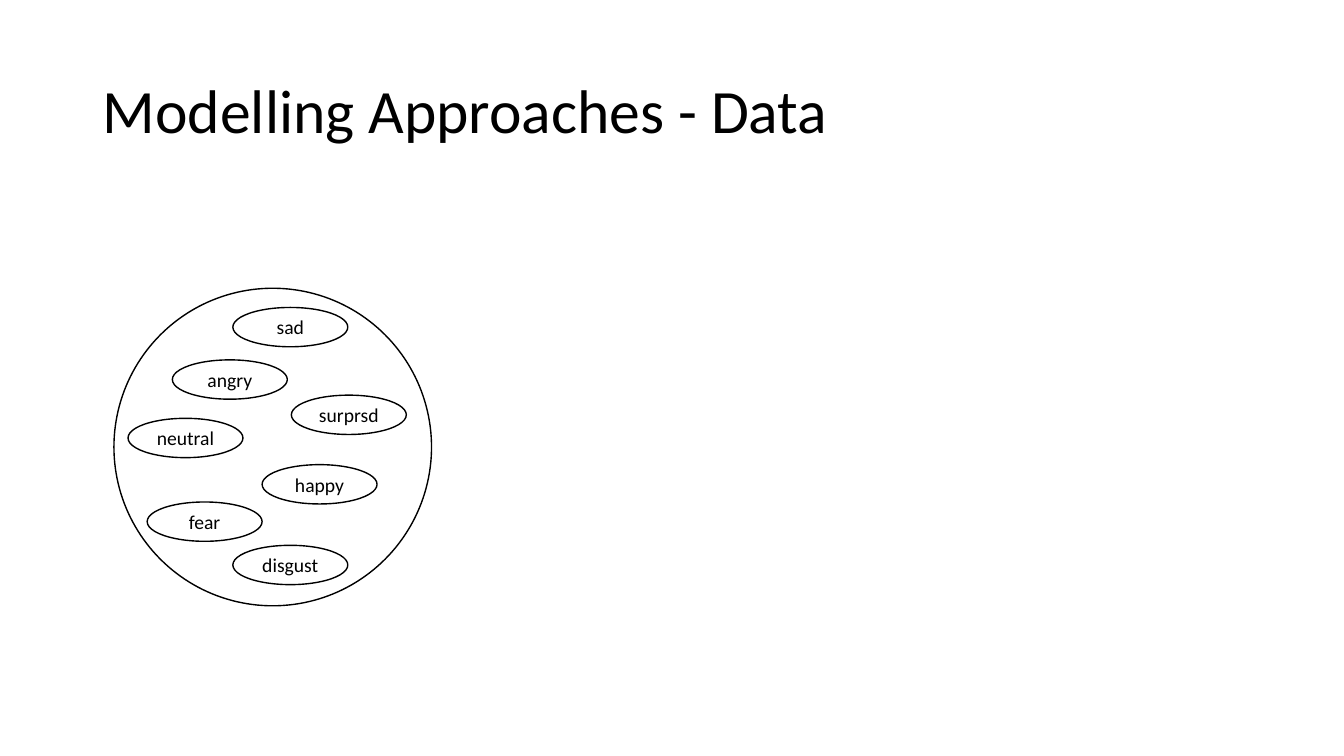
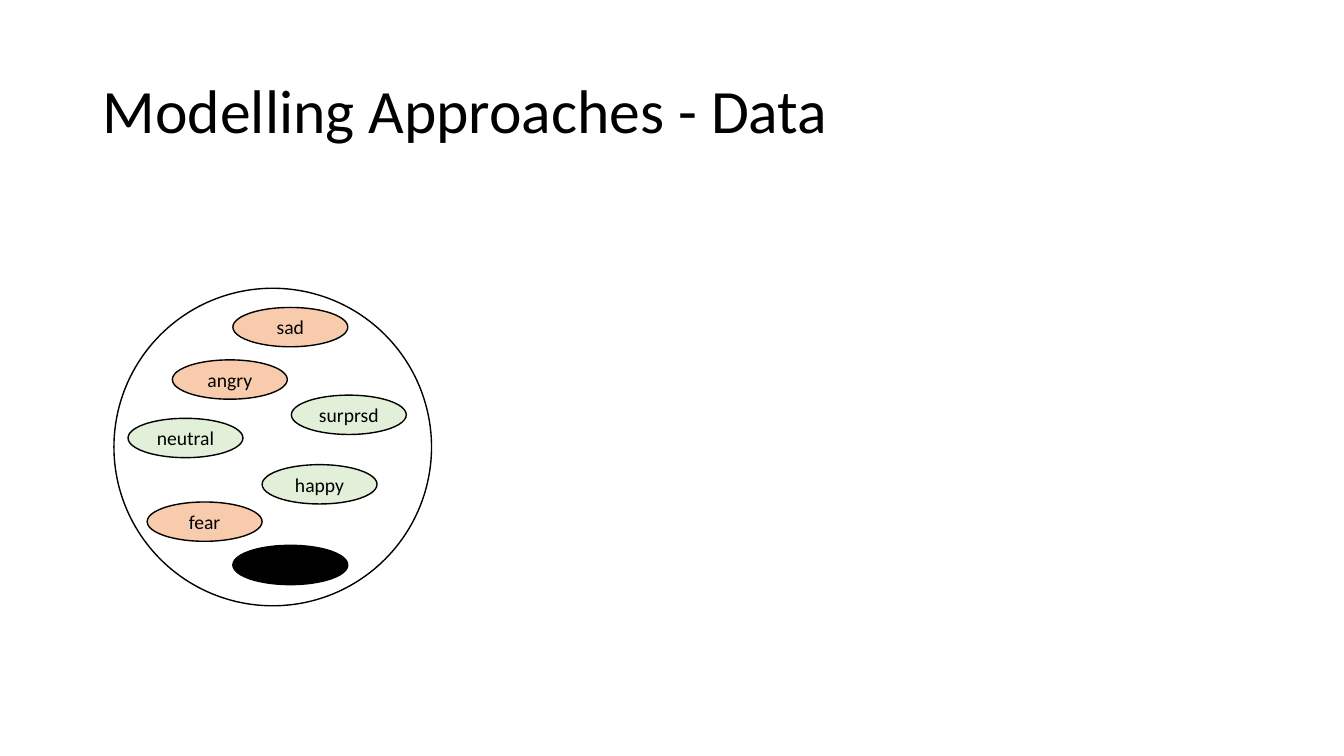
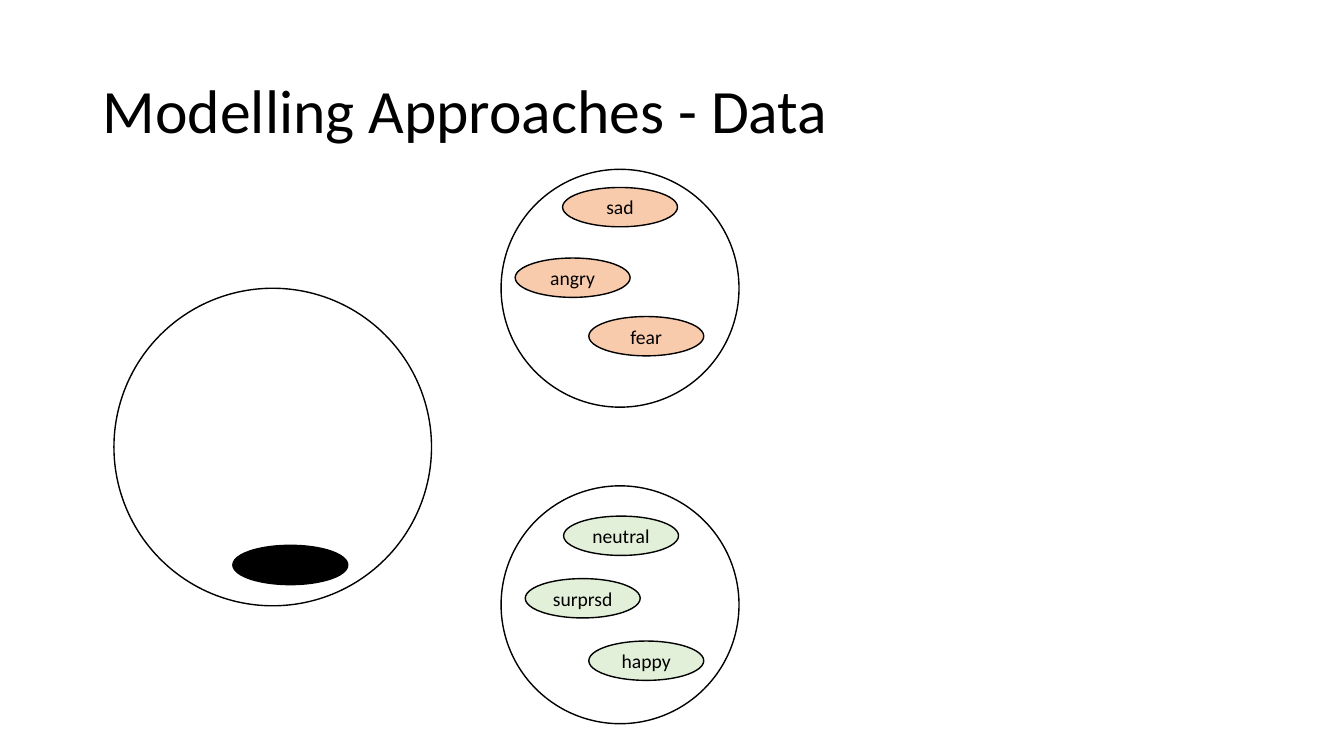
from pptx import Presentation
from pptx.dml.color import RGBColor
from pptx.enum.shapes import MSO_SHAPE
from pptx.enum.text import MSO_ANCHOR, MSO_AUTO_SIZE, PP_ALIGN
from pptx.util import Inches, Pt

TITLE = "Modelling Approaches - Data"
FONT = "Calibri"
BLACK, WHITE, PEACH, GREEN = "000000", "FFFFFF", "F8CBAD", "E2F0D9"
OVAL = (1.14, 0.39)

# Circles: left, top, diameter
POOL = (1.13, 2.86, 3.15)
LOWER = (4.97, 4.82, 2.36)
UPPER = (4.97, 1.68, 2.36)

# Emotions: left and top of each oval
MIXED = {
    "angry": (1.71, 3.57),
    "sad": (2.31, 3.05),
    "fear": (1.46, 4.98),
    "happy": (2.6, 4.61),
    "disgust": (2.31, 5.41),
    "neutral": (1.27, 4.15),
    "surprsd": (2.89, 3.92),
}
SPLIT = {
    "angry": (5.11, 2.56),
    "sad": (5.58, 1.86),
    "fear": (5.84, 3.14),
    "happy": (5.84, 6.36),
    "disgust": MIXED["disgust"],
    "neutral": (5.59, 5.12),
    "surprsd": (5.21, 5.74),
}
PLAIN = dict.fromkeys(MIXED, WHITE)
CLASSES = {
    "angry": PEACH, "sad": PEACH, "fear": PEACH,
    "happy": GREEN, "neutral": GREEN, "surprsd": GREEN,
    "disgust": BLACK,
}

# Slides: circles, oval places, oval fills, grouped or not
SLIDES = [
    ([POOL], MIXED, PLAIN, True),
    ([POOL], MIXED, CLASSES, False),
    ([LOWER, UPPER, POOL], SPLIT, CLASSES, False),
]


def color(code):
    """Turn a hex string into a colour."""
    return RGBColor.from_string(code)


def style(par, size, align):
    """Format a paragraph and its runs."""
    par.alignment = align
    for run in par.runs:
        run.font.name = FONT
        run.font.size = Pt(size)
        run.font.color.rgb = color(BLACK)


def set_title(slide):
    """Fill and place the title."""
    title = slide.shapes.title
    title.left, title.top = Inches(0.92), Inches(0.4)
    title.width, title.height = Inches(11.5), Inches(1.45)
    frame = title.text_frame
    frame.text = TITLE
    frame.vertical_anchor = MSO_ANCHOR.MIDDLE
    frame.auto_size = MSO_AUTO_SIZE.NONE
    par = frame.paragraphs[0]
    par.line_spacing = 0.9
    style(par, 44, PP_ALIGN.LEFT)


def add_oval(shapes, left, top, width, height, fill):
    """Draw an outlined ellipse."""
    oval = shapes.add_shape(MSO_SHAPE.OVAL, Inches(left), Inches(top),
                            Inches(width), Inches(height))
    oval.shadow.inherit = False
    oval.fill.solid()
    oval.fill.fore_color.rgb = color(fill)
    oval.line.color.rgb = color(BLACK)
    oval.line.width = Pt(1)
    return oval


def add_label(oval, text):
    """Centre a label in an oval."""
    frame = oval.text_frame
    frame.text = text
    frame.word_wrap = False
    frame.vertical_anchor = MSO_ANCHOR.MIDDLE
    style(frame.paragraphs[0], 14, PP_ALIGN.CENTER)


def add_slide(deck, circles, places, fills, grouped):
    """Build one slide of circles and emotions."""
    slide = deck.slides.add_slide(deck.slide_layouts[5])
    set_title(slide)
    shapes = slide.shapes
    if grouped:
        shapes = shapes.add_group_shape().shapes
    for left, top, size in circles:
        add_oval(shapes, left, top, size, size, WHITE)
    for name, spot in places.items():
        oval = add_oval(shapes, *spot, *OVAL, fills[name])
        if fills[name] != BLACK:
            add_label(oval, name)


def main():
    """Build and save the deck."""
    deck = Presentation()
    deck.slide_width, deck.slide_height = Inches(13.33), Inches(7.5)
    for parts in SLIDES:
        add_slide(deck, *parts)
    deck.save("out.pptx")


main()
